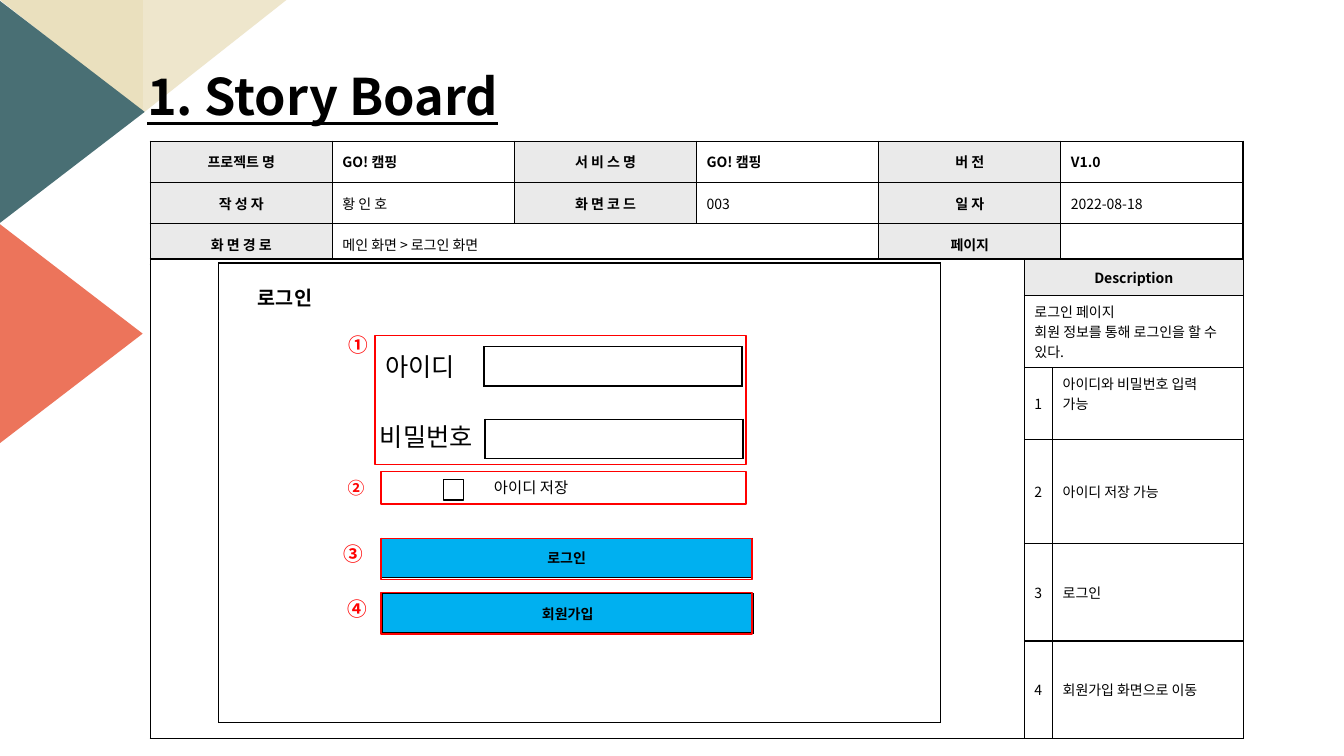
from lxml.etree import SubElement
from pptx import Presentation
from pptx.dml.color import RGBColor
from pptx.enum.shapes import MSO_SHAPE as SHAPE
from pptx.enum.text import MSO_ANCHOR as ANCHOR, MSO_AUTO_SIZE as AUTO, PP_ALIGN as ALIGN
from pptx.oxml.ns import qn
from pptx.util import Inches, Pt

FONT = "Noto Sans CJK KR"
BLACK, WHITE, GRAY = "000000", "FFFFFF", "EAEAEA"
RED, BLUE = "FF0000", "00B0F0"


def color(value):
    return RGBColor.from_string(value)


def write(tf, text, size, fill=BLACK, align=ALIGN.LEFT, **formats):
    for i, line in enumerate(text.split("\n")):
        p = tf.add_paragraph() if i else tf.paragraphs[0]
        p.alignment = align
        r = p.add_run()
        r.text = line
        for name, value in {"name": FONT, "size": Pt(size), **formats}.items():
            setattr(r.font, name, value)
        r.font.color.rgb = color(fill)
        SubElement(r._r.get_or_add_rPr(), qn("a:ea")).set("typeface", FONT)


def add_text(s, box, text, size, fill=BLACK, **formats):
    tf = s.shapes.add_textbox(*map(Inches, box)).text_frame
    tf.word_wrap = True
    write(tf, text, size, fill, **formats)


def add_shape(s, kind, box, fill=None, line=None, rotation=0, flip=False):
    sp = s.shapes.add_shape(kind, *map(Inches, box))
    sp.shadow.inherit = False
    sp.rotation = rotation
    if flip:
        sp._element.spPr.find(qn("a:xfrm")).set("flipH", "1")
    if fill:
        sp.fill.solid()
        sp.fill.fore_color.rgb = color(fill)
    else:
        sp.fill.background()
    if line:
        sp.line.color.rgb = color(line)
        sp.line.width = Pt(1)
    else:
        sp.line.fill.background()


def add_borders(cell):
    tcPr = cell._tc.get_or_add_tcPr()
    for side in ("lnL", "lnR", "lnT", "lnB"):
        ln = SubElement(tcPr, qn("a:" + side), w=str(Pt(1)))
        SubElement(SubElement(ln, qn("a:solidFill")), qn("a:srgbClr"), val=BLACK)


def add_table(s, left, top, cols, rows):
    box = map(Inches, (left, top, sum(cols), sum(rows)))
    table = s.shapes.add_table(len(rows), len(cols), *box).table
    table.first_row = table.horz_banding = False
    for col, width in zip(table.columns, cols):
        col.width = Inches(width)
    for row, height in zip(table.rows, rows):
        row.height = Inches(height)
    for cell in table.iter_cells():
        add_borders(cell)
        fill_cell(cell)
    return table


def fill_cell(cell, text="", fill=WHITE, bold=False, align=ALIGN.LEFT, anchor=ANCHOR.MIDDLE):
    cell.fill.solid()
    cell.fill.fore_color.rgb = color(fill)
    cell.vertical_anchor = anchor
    cell.margin_top = cell.margin_bottom = Inches(0.05 if text else 0)
    if text:
        write(cell.text_frame, text, 10, align=align, bold=bold)


def add_label(cell, text, fill=GRAY):
    fill_cell(cell, text, fill, True, ALIGN.CENTER)


def add_title(s, text):
    title = s.shapes.title
    s.shapes._spTree.append(title._element)
    formats = dict(zip(("left", "top", "width", "height"), map(Inches, (1.36, 0.6, 5.96, 0.71))))
    for name, value in formats.items():
        setattr(title, name, value)
    tf = title.text_frame
    tf.auto_size = AUTO.NONE
    tf.vertical_anchor = ANCHOR.TOP
    write(tf, text, 36, bold=True, underline=True)
    tf.paragraphs[0].line_spacing = 1.0


def add_header(s):
    rows = [
        ["프로젝트 명", "GO! 캠핑", "서 비 스 명", "GO! 캠핑", "버 전", "V1.0"],
        ["작 성 자", "황 인 호", "화 면 코 드", "003", "일 자", "2022-08-18"],
        ["화 면 경 로", "메인 화면 > 로그인 화면", None, None, "페이지", ""],
    ]
    table = add_table(s, 1.49, 1.4, [10.84 / 6] * 6, [0.41] * 3)
    table.cell(2, 1).merge(table.cell(2, 3))
    for i, row in enumerate(rows):
        for j, text in enumerate(row):
            if text and j % 2 == 0:
                add_label(table.cell(i, j), text)
            elif text:
                fill_cell(table.cell(i, j), text, bold=i == 0)


def add_description(s):
    table = add_table(s, 1.49, 2.57, [8.67, 0.28, 1.89], [0.36, 0.72, 0.71, 1.03, 0.97, 0.97])
    table.cell(0, 0).merge(table.cell(5, 0))
    for i in (0, 1):
        table.cell(i, 1).merge(table.cell(i, 2))
    add_label(table.cell(0, 1), "Description")
    fill_cell(table.cell(1, 1), "로그인 페이지\n회원 정보를 통해 로그인을 할 수 있다.")
    notes = ["아이디와 비밀번호 입력\n가능", "아이디 저장 가능", "로그인", "회원가입 화면으로 이동"]
    for i, note in enumerate(notes, 1):
        fill_cell(table.cell(i + 1, 1), str(i))
        anchor = ANCHOR.TOP if "\n" in note else ANCHOR.MIDDLE
        fill_cell(table.cell(i + 1, 2), note, anchor=anchor)


def add_login_screen(s):
    add_table(s, 2.17, 2.61, [7.16], [4.56])
    add_text(s, (2.46, 2.79, 1.94, 0.34), "로그인", 14, bold=True)
    for left, top in ((4.8, 3.44), (4.81, 4.16)):
        add_table(s, left, top, [2.56], [0.39])
    add_shape(s, SHAPE.RECTANGLE, (3.72, 3.33, 3.68, 1.28), line=RED)
    add_text(s, (3.72, 3.44, 1.11, 0.4), "아이디", 18)
    add_text(s, (3.67, 4.13, 1.2, 0.4), "비밀번호", 18)

    add_shape(s, SHAPE.RECTANGLE, (4.4, 4.76, 0.2, 0.2), line=BLACK)
    add_text(s, (4.8, 4.69, 2.29, 0.29), "아이디 저장", 11)
    add_shape(s, SHAPE.RECTANGLE, (3.78, 4.68, 3.62, 0.32), line=RED)

    for text, left, top, frame_top in (("로그인", 3.78, 5.34, 5.34), ("회원가입", 3.79, 5.89, 5.88)):
        button = add_table(s, left, top, [3.68], [0.39])
        add_label(button.cell(0, 0), text, BLUE)
        add_shape(s, SHAPE.RECTANGLE, (3.78, frame_top, 3.68, 0.41), line=RED)

    markers = [("①", 3.36, 3.25, 14), ("②", 3.35, 4.69, 12), ("③", 3.31, 5.33, 14), ("④", 3.35, 5.87, 14)]
    for text, left, top, size in markers:
        add_text(s, (left, top, 0.42, 0.34), text, size, RED, bold=True)


def main():
    prs = Presentation()
    prs.slide_width, prs.slide_height = Inches(13.33), Inches(7.5)
    s = prs.slides.add_slide(prs.slide_layouts[5])
    add_shape(s, SHAPE.RIGHT_TRIANGLE, (0, 0, 1.42, 1.12), "EAE0BE", rotation=180)
    add_shape(s, SHAPE.RIGHT_TRIANGLE, (1.42, 0, 1.42, 1.12), "EEE6CC", rotation=180, flip=True)
    add_shape(s, SHAPE.ISOSCELES_TRIANGLE, (-0.39, 0.39, 2.21, 1.44), "496F74", rotation=90)
    add_shape(s, SHAPE.ISOSCELES_TRIANGLE, (-0.41, 2.59, 2.21, 1.44), "EC745B", rotation=90)
    add_title(s, "1. Story Board")
    add_header(s)
    add_description(s)
    add_login_screen(s)
    prs.save("out.pptx")


main()
